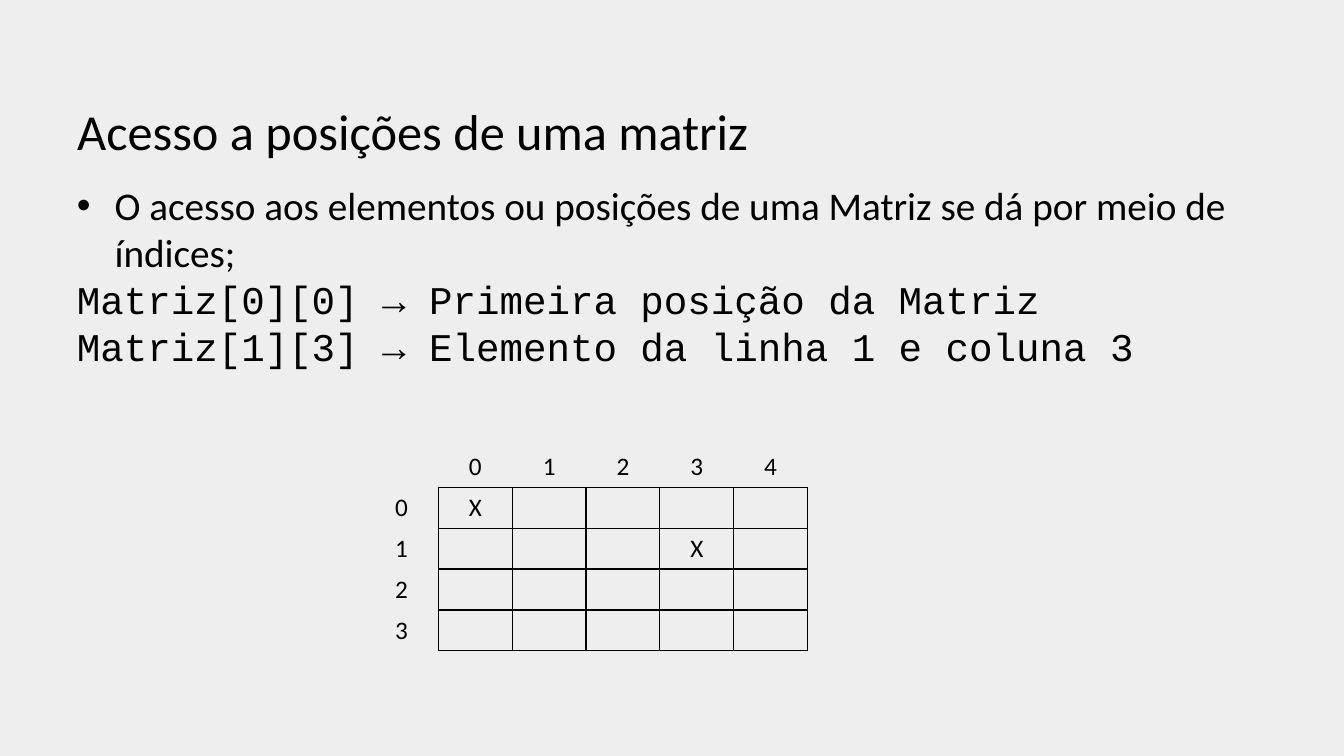
"""Builds a slide on reaching the positions of a matrix by index."""
from lxml.etree import SubElement
from pptx import Presentation
from pptx.dml.color import RGBColor
from pptx.enum.text import MSO_ANCHOR as Anchor, PP_ALIGN as Align
from pptx.oxml.ns import qn
from pptx.util import Cm, Pt

BLACK = RGBColor(0x00, 0x00, 0x00)
PALE_GRAY = RGBColor(0xEE, 0xEE, 0xEE)

TITLE = "Acesso a posições de uma matriz"
BULLET = "O acesso aos elementos ou posições de uma Matriz se dá por meio de índices;"
EXAMPLES = [
    "Matriz[0][0] → Primeira posição da Matriz",
    "Matriz[1][3] → Elemento da linha 1 e coluna 3",
]
ROWS, COLUMNS = 4, 5
MARKS = {(0, 0): "X", (1, 3): "X"}

TITLE_FORMAT = {"name": "Calibri", "size": Pt(36)}
BULLET_FORMAT = {"name": "Calibri", "size": Pt(28)}
CODE_FORMAT = {"name": "Courier New", "size": Pt(28)}
CELL_FORMAT = {"name": "Calibri", "size": Pt(18)}

LEFT, WIDTH = Cm(1.69), Cm(30.48)
TITLE_PLACE = {"left": LEFT, "top": Cm(1), "width": WIDTH, "height": Cm(3.18)}
BODY_PLACE = (LEFT, Cm(4.45), WIDTH, Cm(12.57))
GRID_LEFT, GRID_TOP = Cm(9.19), Cm(11.25)
CELL_WIDTH, CELL_HEIGHT = Cm(1.86), Cm(1.03)
INDENT = Cm(0.95)


def set_all(target, values):
    for name, value in values.items():
        setattr(target, name, value)


def write(para, text, text_format):
    span = para.add_run()
    span.text = text
    set_all(span.font, text_format)
    span.font.color.rgb = BLACK


def add_bullet(para):
    properties = para._p.get_or_add_pPr()
    properties.set("marL", str(INDENT))
    properties.set("indent", str(-INDENT))
    SubElement(properties, qn("a:buFont"), typeface="Arial")
    SubElement(properties, qn("a:buChar"), char="•")


def add_borders(cell, edges):
    properties = cell._tc.get_or_add_tcPr()
    for place, (side, drawn) in enumerate(edges.items()):
        line = SubElement(properties, qn(f"a:ln{side}"), w=str(Pt(1)))
        properties.insert(place, line)
        if drawn:
            fill = SubElement(line, qn("a:solidFill"))
            SubElement(fill, qn("a:srgbClr"), val=str(BLACK))
        else:
            SubElement(line, qn("a:noFill"))


def add_title(page):
    title = page.shapes.title
    set_all(title, TITLE_PLACE)
    set_all(title.text_frame, {"word_wrap": True, "vertical_anchor": Anchor.BOTTOM})
    para = title.text_frame.paragraphs[0]
    para.alignment = Align.LEFT
    write(para, TITLE, TITLE_FORMAT)


def add_body(page):
    frame = page.shapes.add_textbox(*BODY_PLACE).text_frame
    frame.word_wrap = True
    add_bullet(frame.paragraphs[0])
    write(frame.paragraphs[0], BULLET, BULLET_FORMAT)
    for example in EXAMPLES:
        write(frame.add_paragraph(), example, CODE_FORMAT)


def cell_text(row, column):
    if row and column:
        return MARKS.get((row - 1, column - 1), "")
    return str(row + column - 1) if row or column else ""


def add_matrix(page):
    size = (CELL_WIDTH * (COLUMNS + 1), CELL_HEIGHT * (ROWS + 1))
    frame = page.shapes.add_table(ROWS + 1, COLUMNS + 1, GRID_LEFT, GRID_TOP, *size)
    table = frame.table
    set_all(table, {"first_row": False, "horz_banding": False})
    for row in range(ROWS + 1):
        for column in range(COLUMNS + 1):
            cell = table.cell(row, column)
            cell.fill.background()
            inside = row > 0 and column > 0
            add_borders(cell, {"L": inside, "R": row > 0, "T": inside, "B": column > 0})
            text = cell_text(row, column)
            if text:
                para = cell.text_frame.paragraphs[0]
                para.alignment = Align.CENTER
                write(para, text, CELL_FORMAT)


def main():
    deck = Presentation()
    set_all(deck, {"slide_width": Cm(33.87), "slide_height": Cm(19.05)})
    page = deck.slides.add_slide(deck.slide_layouts[5])
    page.background.fill.solid()
    page.background.fill.fore_color.rgb = PALE_GRAY
    add_title(page)
    add_body(page)
    add_matrix(page)
    deck.save("out.pptx")


if __name__ == "__main__":
    main()
